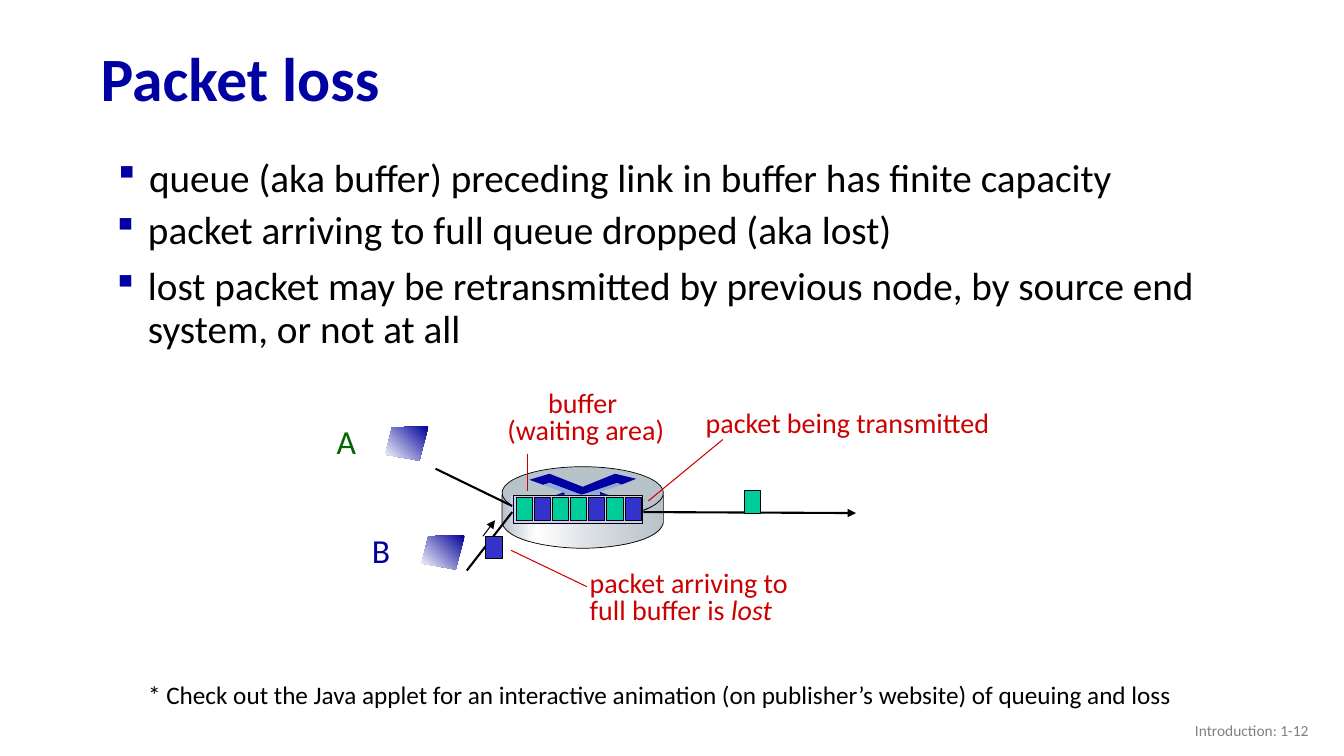
from lxml import etree
from pptx import Presentation
from pptx.dml.color import RGBColor
from pptx.enum.shapes import MSO_CONNECTOR, MSO_SHAPE
from pptx.enum.text import MSO_ANCHOR, MSO_AUTO_SIZE, PP_ALIGN
from pptx.oxml.ns import qn
from pptx.util import Inches, Pt

RECT, OVAL = MSO_SHAPE.RECTANGLE, MSO_SHAPE.OVAL
STRAIGHT = MSO_CONNECTOR.STRAIGHT
MIDDLE, TOP = MSO_ANCHOR.MIDDLE, MSO_ANCHOR.TOP
GROW, FIXED = MSO_AUTO_SIZE.SHAPE_TO_FIT_TEXT, MSO_AUTO_SIZE.NONE
LEFT, CENTER, RIGHT = PP_ALIGN.LEFT, PP_ALIGN.CENTER, PP_ALIGN.RIGHT

BLACK = RGBColor(0x00, 0x00, 0x00)
WHITE = RGBColor(0xFF, 0xFF, 0xFF)
GRAY = RGBColor(0x80, 0x80, 0x80)
NAVY = RGBColor(0x00, 0x00, 0xA3)
HOST_BLUE = RGBColor(0x00, 0x00, 0x99)
HOST_GREEN = RGBColor(0x00, 0x66, 0x00)
RED = RGBColor(0xCC, 0x00, 0x00)
STEEL = RGBColor(0xB8, 0xC2, 0xC9)
PALE_STEEL = RGBColor(0xD6, 0xDC, 0xE0)
SKY = RGBColor(0x8F, 0xAA, 0xDC)
LILAC = RGBColor(0xCC, 0xCC, 0xFF)
GREEN = RGBColor(0x00, 0xCC, 0x99)
BLUE = RGBColor(0x33, 0x33, 0xCC)

STEEL_SHEEN = ([(0, STEEL), (21, WHITE), (60, PALE_STEEL), (100, STEEL)], 0)
HOST_SHADE = ([(0, HOST_BLUE), (100, WHITE)], 135)


def curve(p0, p1, p2, p3, steps=16):
    """Points of a cubic Bezier curve, without its start point."""
    points = []
    for i in range(1, steps + 1):
        t = i / steps
        weights = ((1 - t) ** 3, 3 * t * (1 - t) ** 2, 3 * t * t * (1 - t), t ** 3)
        points.append(tuple(sum(w * p[axis] for w, p in zip(weights, (p0, p1, p2, p3)))
                            for axis in (0, 1)))
    return points


class Deck:
    font = "Calibri"

    def __init__(self, width, height):
        self.prs = Presentation()
        self.prs.slide_width, self.prs.slide_height = Inches(width), Inches(height)
        self.s = self.prs.slides.add_slide(self.prs.slide_layouts[6])

    def paint(self, sp, fill, line):
        """Fill is a colour, a (stops, clockwise angle) pair or None; line is a width or None."""
        sp.shadow.inherit = False
        if fill is None:
            sp.fill.background()
        elif isinstance(fill, RGBColor):
            sp.fill.solid()
            sp.fill.fore_color.rgb = fill
        else:
            self.gradient(sp, *fill)
        if line is None:
            sp.line.fill.background()
        else:
            sp.line.color.rgb = BLACK
            sp.line.width = Pt(line)

    def gradient(self, sp, stops, angle):
        sp.fill.gradient()
        grad = sp._element.spPr.find(qn("a:gradFill"))
        for child in list(grad):
            grad.remove(child)
        stop_list = etree.SubElement(grad, qn("a:gsLst"))
        for percent, color in stops:
            stop = etree.SubElement(stop_list, qn("a:gs"), pos=str(percent * 1000))
            etree.SubElement(stop, qn("a:srgbClr"), val=str(color))
        etree.SubElement(grad, qn("a:lin"), ang=str(angle * 60000), scaled="0")

    def shape(self, kind, x, y, w, h, fill=None, line=None):
        sp = self.s.shapes.add_shape(kind, Inches(x), Inches(y), Inches(w), Inches(h))
        self.paint(sp, fill, line)

    def packet(self, x, y, color):
        self.shape(RECT, x, y, 0.16, 0.22, color, 0.75)

    def outline(self, points, fill, line=None):
        corners = [(Inches(x), Inches(y)) for x, y in points]
        builder = self.s.shapes.build_freeform(*corners[0])
        builder.add_line_segments(corners[1:], close=True)
        self.paint(builder.convert_to_shape(), fill, line)

    def line(self, start, end, color=BLACK, width=0.75, arrow=False):
        c = self.s.shapes.add_connector(STRAIGHT, *map(Inches, start + end))
        c.line.color.rgb = color
        c.line.width = Pt(width)
        if arrow:
            etree.SubElement(c.line._get_or_add_ln(), qn("a:tailEnd"), type="triangle")
        etree.SubElement(c._element.spPr, qn("a:effectLst"))

    def text(self, x, y, w, h, paragraphs, size, color, wrap=False, anchor=TOP,
             align=LEFT, spacing=1.0, bullet=False, bold=False):
        """Each paragraph is a list of (text, italic) runs or a plain string."""
        tf = self.s.shapes.add_textbox(Inches(x), Inches(y), Inches(w), Inches(h)).text_frame
        frame_format = {"word_wrap": wrap, "vertical_anchor": anchor,
                        "auto_size": FIXED if wrap else GROW}
        for name, value in frame_format.items():
            setattr(tf, name, value)
        for i, runs in enumerate(paragraphs):
            p = tf.add_paragraph() if i else tf.paragraphs[0]
            if bullet:
                self.bullet(p)
            p.alignment, p.line_spacing = align, spacing
            p.space_before = Pt(10 if bullet and i else 0)
            for words, italic in [(runs, False)] if isinstance(runs, str) else runs:
                r = p.add_run()
                r.text = words
                font_format = {"name": self.font, "size": Pt(size), "bold": bold,
                               "italic": italic}
                for name, value in font_format.items():
                    setattr(r.font, name, value)
                r.font.color.rgb = color

    def bullet(self, p):
        """Square bullet: the § code of Wingdings shows as ▪."""
        pPr = p._p.get_or_add_pPr()
        pPr.set("marL", str(Inches(0.31)))
        pPr.set("indent", str(Inches(-0.31)))
        color = etree.SubElement(pPr, qn("a:buClr"))
        etree.SubElement(color, qn("a:srgbClr"), val=str(NAVY))
        etree.SubElement(pPr, qn("a:buFont"), typeface="Wingdings", charset="2")
        etree.SubElement(pPr, qn("a:buChar"), char="§")

    def host(self, x, y):
        screen = [(0.43, 0), (0.07, 0.01), (0, 0.28), (0.34, 0.34)]
        self.outline([(x + dx, y + dy) for dx, dy in screen], HOST_SHADE)


def draw_router(deck):
    body = [(6.58, 4.91), (6.58, 5.19)]
    body += curve((6.58, 5.19), (6.53, 5.38), (6.05, 5.44), (5.78, 5.44))
    body += curve((5.78, 5.44), (5.52, 5.44), (5.03, 5.38), (4.98, 5.19))
    body += [(4.98, 4.91)]
    body += curve((4.98, 4.91), (5.05, 5.07), (5.51, 5.16), (5.77, 5.16))
    body += curve((5.77, 5.16), (6.04, 5.16), (6.5, 5.1), (6.58, 4.91))[:-1]
    deck.outline(body, STEEL_SHEEN, 0.5)
    deck.shape(OVAL, 4.98, 4.63, 1.6, 0.52, STEEL, 0.5)
    upper_arrows = [(6.1, 4.7), (6.31, 4.75), (6.16, 4.81), (6.12, 4.8), (5.77, 4.91),
                    (5.45, 4.79), (5.39, 4.81), (5.25, 4.76), (5.45, 4.7), (5.78, 4.83)]
    right_arrow = [(5.95, 4.88), (6.34, 5.02), (6.2, 5.07), (5.94, 4.98)]
    left_arrow = [(5.6, 4.88), (5.61, 4.98), (5.35, 5.07), (5.21, 5.02)]
    for arrow in (upper_arrows, right_arrow, left_arrow):
        deck.outline(arrow, NAVY)
    deck.outline([(5.39, 4.81), (5.45, 4.79), (5.77, 4.91), (6.12, 4.79), (6.17, 4.81),
                  (5.95, 4.88), (5.95, 4.98), (6.2, 5.07), (6.13, 5.08), (5.78, 4.95),
                  (5.41, 5.08), (5.35, 5.06), (5.6, 4.98), (5.6, 4.89)], SKY)


def draw_queue(deck):
    deck.shape(RECT, 5.07, 4.91, 1.31, 0.29, LILAC)
    deck.line((4.32, 4.65), (5.08, 5.02), width=1.5)
    deck.line((4.63, 5.66), (5.08, 5.08), width=1.5)
    deck.line((6.38, 5.08), (8.49, 5.09), width=1.5, arrow=True)
    deck.packet(7.38, 4.87, GREEN)
    for i, color in enumerate((GREEN, BLUE, GREEN, GREEN, BLUE, GREEN, BLUE)):
        deck.packet(5.12 + 0.18 * i, 4.94, color)
    deck.shape(RECT, 5.09, 4.92, 1.28, 0.27, line=0.75)
    deck.packet(4.82, 5.32, BLUE)
    deck.line((4.79, 5.32), (4.91, 5.16), arrow=True)


def draw_labels(deck):
    deck.host(3.82, 4.23)
    deck.host(4.18, 5.31)
    deck.text(3.24, 4.13, 0.4, 0.5, ["A"], 24, HOST_GREEN)
    deck.text(3.59, 5.21, 0.38, 0.5, ["B"], 24, HOST_BLUE)
    deck.text(4.92, 3.84, 1.78, 0.65, ["buffer ", "(waiting area)"], 20, RED,
              align=CENTER, spacing=0.8)
    deck.text(6.9, 4.04, 3.05, 0.38, ["packet being transmitted"], 20, RED, spacing=0.8)
    deck.text(5.75, 5.63, 2.19, 0.65,
              ["packet arriving to", [("full buffer is ", False), ("lost", True)]],
              20, RED, spacing=0.8)
    for start, end in (((5.23, 4.5), (5.23, 4.87)), ((7.17, 4.36), (6.43, 4.97)),
                       ((5.82, 5.82), (5.07, 5.46))):
        deck.line(start, end, RED)


def main():
    deck = Deck(13.33, 7.5)
    draw_router(deck)
    deck.text(0.9, 0.32, 11.5, 0.98, ["Packet loss"], 44, NAVY, wrap=True,
              anchor=MIDDLE, spacing=0.9, bold=True)
    deck.text(1.07, 1.52, 11.17, 0.79,
              ["queue (aka buffer) preceding link in buffer has finite capacity"],
              28, BLACK, wrap=True, spacing=0.9, bullet=True)
    deck.text(1.06, 2.04, 11.17, 2.32,
              ["packet arriving to full queue dropped (aka lost)",
               "lost packet may be retransmitted by previous node, by source end system, "
               "or not at all"],
              28, BLACK, wrap=True, spacing=0.9, bullet=True)
    draw_queue(deck)
    draw_labels(deck)
    deck.text(1.37, 6.69, 10.42, 0.4,
              ["* Check out the Java applet for an interactive animation "
               "(on publisher’s website) of queuing and loss"], 18, BLACK)
    deck.text(10.08, 7.05, 3, 0.4, ["Introduction: 1-12"], 11, GRAY, wrap=True,
              anchor=MIDDLE, align=RIGHT)
    deck.prs.save("out.pptx")


if __name__ == "__main__":
    main()
